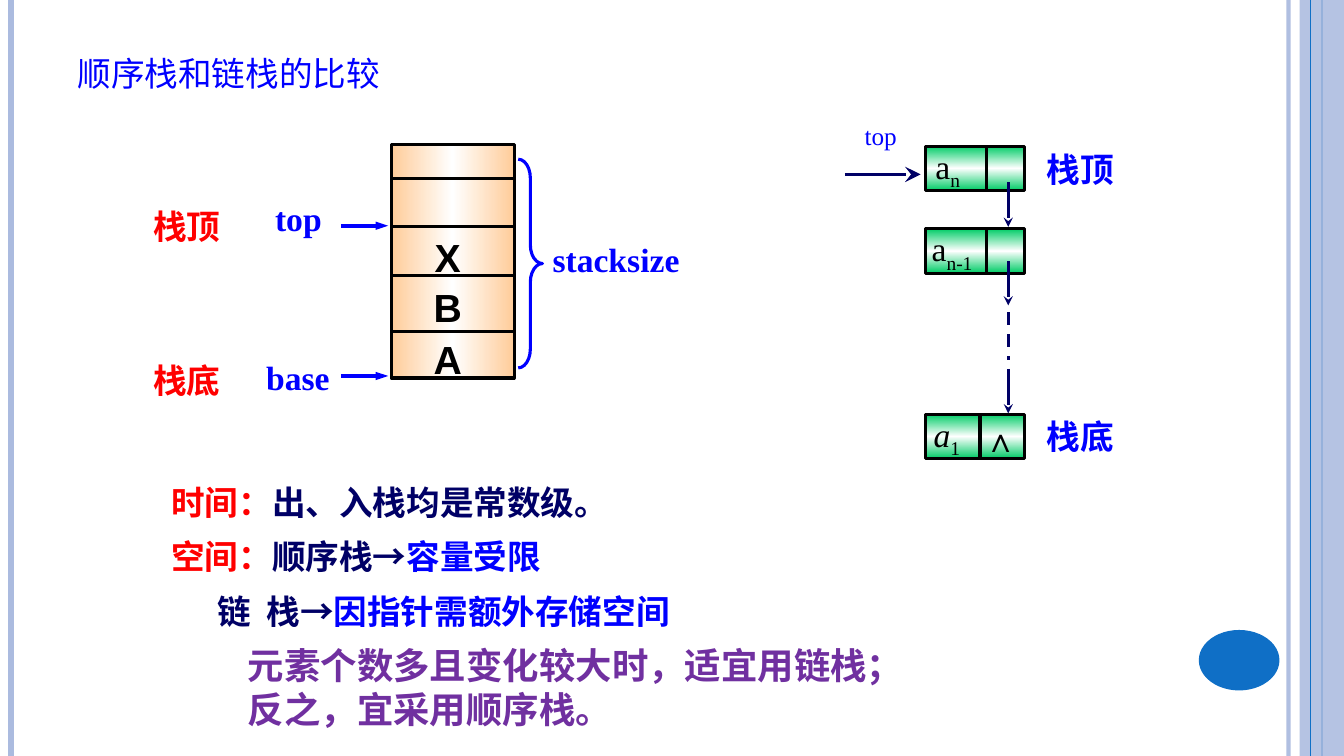
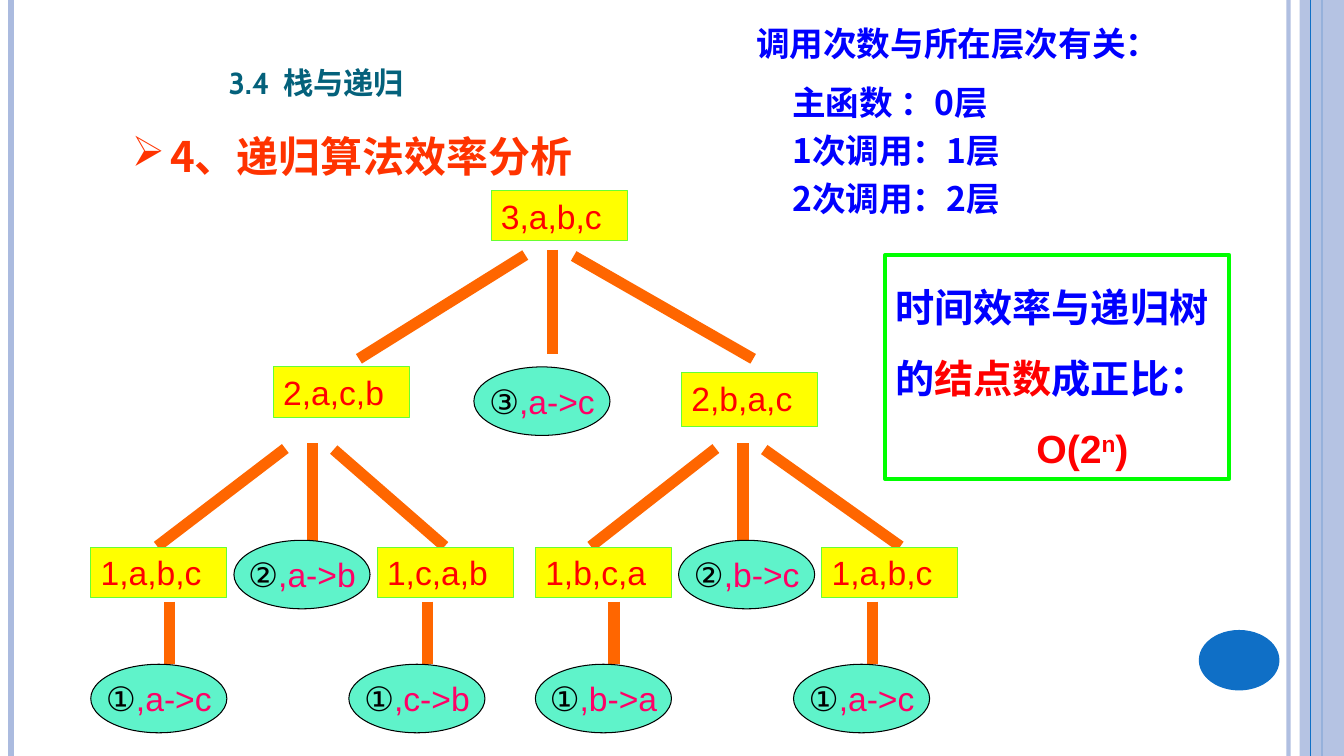
from copy import deepcopy
from lxml.etree import SubElement as Sub
from pptx import Presentation
from pptx.dml.color import RGBColor
from pptx.enum.dml import MSO_LINE as Dash
from pptx.enum.shapes import MSO_CONNECTOR as Link, MSO_SHAPE as Form
from pptx.enum.text import MSO_ANCHOR as Anchor, PP_ALIGN as Align
from pptx.oxml.ns import qn
from pptx.util import Inches, Pt

WIDE, HIGH = 13.33, 7.5
BLUE, RED, NAVY, BLACK = "0000FF", "FF0000", "000066", "000000"
PALE, DEEP, TEAL, VIOLET = "ABBBDF", "0F6FC6", "04617B", "7030A0"
GREEN, PEACH, WHITE = "00CC66", "FFCC99", "FFFFFF"
YELLOW, LIME, MINT, PINK = "FFFF00", "66FF33", "5FF3CA", "FF0066"
ORANGE, FLAME, BRIGHT = "FF6600", "FF3300", "00FF00"
SERIF, SANS, HAN, HEAD = "Times New Roman", "Arial", "Noto Sans CJK SC", "Cabin"
PAD = (0.1, 0.05, 0.1, 0.05)
NONE = (0, 0, 0, 0)


def tint(value):
    return RGBColor.from_string(value)


def fade(item, share):
    for mark in item.element.iter(qn("a:srgbClr")):
        Sub(mark, qn("a:alpha")).set("val", str(share * 1000))


def line(slide, start, end, color, width, head=None, dash=False):
    item = slide.shapes.add_connector(Link.STRAIGHT, *map(Inches, start + end))
    item.line.color.rgb = tint(color)
    item.line.width = Pt(width)
    if dash:
        item.line.dash_style = Dash.DASH
    if head:
        tail = Sub(item.line._get_or_add_ln(), qn("a:tailEnd"))
        for key, value in zip(("type", "w", "len"), head):
            tail.set(key, value)
    Sub(item.element.spPr, qn("a:effectLst"))
    return item


def shape(slide, form, box, fill=None, edge=None, width=0.75):
    item = slide.shapes.add_shape(form, *map(Inches, box))
    item.shadow.inherit = False
    if fill:
        item.fill.solid()
        item.fill.fore_color.rgb = tint(fill)
    else:
        item.fill.background()
    if edge:
        item.line.color.rgb = tint(edge)
        item.line.width = Pt(width)
    else:
        item.line.fill.background()
    return item


def sheen(item, color, angle):
    item.fill.gradient()
    item.fill.gradient_angle = angle
    stops = next(item.element.iter(qn("a:gsLst")))
    stops.insert(1, deepcopy(stops[0]))
    for stop, shade, spot in zip(item.fill.gradient_stops, (color, WHITE, color), (0, 0.5, 1)):
        stop.color.rgb = tint(shade)
        stop.position = spot


def say(item, lines, size, face, bold=False, pad=PAD, align=Align.LEFT,
        anchor=Anchor.TOP, wrap=True, space=None, small=False):
    frame = item.text_frame
    frame.word_wrap = wrap
    frame.vertical_anchor = anchor
    frame.margin_left, frame.margin_top, frame.margin_right, frame.margin_bottom = map(Inches, pad)
    for order, runs in enumerate(lines):
        para = frame.add_paragraph() if order else frame.paragraphs[0]
        para.alignment = align
        if space:
            para.line_spacing = space
        for words, color, *extra in runs:
            run = para.add_run()
            run.text = words
            font = run.font
            font.size, font.name, font.bold = Pt(size), face, bold
            font.color.rgb = tint(color)
            props = run._r.get_or_add_rPr()
            Sub(props, qn("a:ea")).set("typeface", HAN)
            if small:
                props.set("cap", "small")
            for key, value in extra:
                props.set(key, value)
    return frame


def text(slide, box, lines, size, face, **style):
    return say(slide.shapes.add_textbox(*map(Inches, box)), lines, size, face, **style)


def indent(para, left, first=0):
    props = para._p.get_or_add_pPr()
    props.set("marL", str(Inches(left)))
    props.set("indent", str(Inches(first)))
    return props


def frame(deck):
    slide = deck.slides.add_slide(deck.slide_layouts[6])

    def rule(x, color, width):
        return line(slide, (x, 0), (x, HIGH), color, width)

    fade(rule(12.78, PALE, 3), 93)
    rule(0.11, PALE, 4.5)
    rule(13.11, DEEP, 1.5)
    fade(shape(slide, Form.RECTANGLE, (12.89, 0, 0.44, HIGH), PALE), 87)
    rule(13, DEEP, 0.75)
    shape(slide, Form.OVAL, (11.89, 6.25, 0.8, 0.6), DEEP)
    return slide


def title(slide, box, words, size, color, bold=False):
    text(slide, box, [[(words, color)]], size, HEAD, bold=bold, anchor=Anchor.BOTTOM, small=True)


def label(slide, x, y, words, color):
    text(slide, (x, y, 1.03, 0.37), [[(words, color)]], 24, SERIF, bold=True,
         pad=NONE, align=Align.JUSTIFY)


def stack(slide, x, y):
    def tag(left, top, width, words, size=24, face=SERIF, color=BLUE):
        text(slide, (x + left, y + top, width, 0.5), [[(words, color)]], size, face,
             bold=True, align=Align.CENTER, wrap=False)

    wide = 1.22
    body = shape(slide, Form.RECTANGLE, (x, y, wide, 2.32), WHITE, BLACK, 2.25)
    sheen(body, PEACH, 0)
    for row in (0.34, 0.82, 1.3, 1.86):
        line(slide, (x, y + row), (x + wide, y + row), BLACK, 2.25)
    for row, words in ((0.84, "X"), (1.33, "B"), (1.85, "A")):
        tag(0.32, row, 0.48, words, 28, SANS, BLACK)
    for row, left, width, words, mark in ((0.81, -1.25, 0.66, "top", "栈顶"),
                                          (2.3, -1.34, 0.83, "base", "栈底")):
        line(slide, (x - 0.5, y + row), (x - 0.03, y + row), BLUE, 3, ("triangle", "sm", "med"))
        tag(left, row - 0.33 + (row > 1) * 0.09, width, words)
        label(slide, x - 2.36, y + row - 0.2 + (row > 1) * 0.04, mark, RED)
    brace = shape(slide, Form.RIGHT_BRACE, (x + 1.26, y + 0.15, 0.24, 2.07), None, BLUE, 2.25)
    brace.adjustments[0] = 0.773
    brace.adjustments[1] = 0.5
    tag(1.5, 0.89, 1.46, "stacksize")


def chain(slide, x, y):
    low = ("baseline", "-25000")
    slant = ("i", "1")
    nodes = (
        (0, 0.6, 0.1, [("a", BLACK), ("n", BLACK, low)]),
        (0.82, 0.6, 0.06, [("a", BLACK), ("n-1", BLACK, low)]),
        (2.66, 0.54, 0.08, [("a", BLACK, slant), ("1", BLACK, low)]),
    )
    for row, split, left, runs in nodes:
        node = shape(slide, Form.RECTANGLE, (x, y + row, 0.98, 0.44), WHITE, BLACK, 2.25)
        sheen(node, GREEN, 90)
        say(node, [runs], 24, SERIF, pad=(left, 0, 0, 0.08), space=0.9)
        line(slide, (x + split, y + row), (x + split, y + row + 0.44), BLACK, 2.25)
    text(slide, (x + 0.48, y + 2.66, 0.49, 0.5), [[("∧", BLACK)]], 24, SERIF,
         bold=True, align=Align.CENTER)
    hub = x + 0.82
    for row in (0.36, 1.14, 2.21):
        line(slide, (hub, y + row), (hub, y + row + 0.44), NAVY, 2.25, ("stealth", "med", "med"))
    line(slide, (hub, y + 1.65), (hub, y + 2.12), NAVY, 2.25, dash=True)
    line(slide, (x - 0.8, y + 0.28), (x - 0.05, y + 0.28), NAVY, 2.25, ("stealth", "lg", "lg"))
    text(slide, (x - 0.86, y - 0.26, 0.83, 0.47), [[("top", BLUE)]], 18, SERIF,
         pad=(0, 0, 0, 0.04), align=Align.CENTER)
    label(slide, x + 1.2, y + 0.03, "栈顶", BLUE)
    label(slide, x + 1.2, y + 2.68, "栈底", BLUE)


def notes(slide, x, y):
    lines = [
        [("时间：", RED), ("出、入栈均是常数级。", NAVY)],
        [("空间：", RED), ("顺序栈→", NAVY), ("容量受限", BLUE)],
        [("链  栈→", NAVY), ("因指针需额外存储空间", BLUE)],
    ]
    facts = text(slide, (x, y, 8.11, 1.74), lines, 24, HAN, bold=True, space=1.35)
    indent(facts.paragraphs[2], 0.46)
    lines = [[("元素个数多且变化较大时，适宜用链栈；", VIOLET)],
             [("反之，宜采用顺序栈。", VIOLET)]]
    text(slide, (x + 0.76, y + 1.74, 7.64, 0.98), lines, 26, HAN, bold=True)


def call(slide, x, y, words, high=0.5):
    node = shape(slide, Form.RECTANGLE, (x, y, 1.35, high), YELLOW, LIME)
    say(node, [[(words, RED)]], 24, SANS)


def move(slide, x, y, disk, words):
    node = shape(slide, Form.OVAL, (x, y, 1.35, 0.68), MINT, BLACK)
    say(node, [[(disk, BLACK), ("," + words, PINK)]], 24, SANS,
        align=Align.CENTER, anchor=Anchor.MIDDLE, wrap=False)


def fan(slide, x, y, left, right, drop):
    line(slide, (x - 0.27, y + 0.05), (x - left, y + drop), ORANGE, 8)
    line(slide, (x, y), (x, y + 1.03), ORANGE, 8)
    line(slide, (x + 0.21, y + 0.06), (x + right, y + drop), ORANGE, 8)


def branch(slide, x, y, hub, spread, calls, moves):
    fan(slide, x + hub, y, *spread, 1.02)
    for left, words in zip((0, 2.84), calls):
        call(slide, x + left, y + 1.03, words)
    move(slide, x + 1.42, y + 0.96, "②", moves[0])
    for left, words in zip((0, 2.56), moves[1:]):
        line(slide, (x + left + 0.78, y + 1.57), (x + left + 0.78, y + 2.19), ORANGE, 8)
        move(slide, x + left, y + 2.19, "①", words)


def tree(slide, x, y):
    call(slide, x + 3.97, y, "3,a,b,c")
    fan(slide, x + 4.58, y + 0.59, 1.92, 1.99, 1.67 - 0.59)
    call(slide, x + 1.81, y + 1.75, "2,a,c,b")
    call(slide, x + 5.86, y + 1.81, "2,b,a,c", 0.53)
    move(slide, x + 3.8, y + 1.75, "③", "a->c")
    branch(slide, x, y + 2.51, 2.2, (1.54, 1.31), ("1,a,b,c", "1,c,a,b"),
           ("a->b", "a->c", "c->b"))
    branch(slide, x + 4.41, y + 2.51, 2.06, (1.51, 1.56), ("1,b,c,a", "1,a,b,c"),
           ("b->c", "b->a", "a->c"))


def topic(slide, x, y):
    body = text(slide, (x, y, 4.83, 0.73), [[("4、递归算法效率分析", FLAME)]], 30, HAN,
                bold=True, space=1.2)
    props = indent(body.paragraphs[0], 0.38, -0.38)
    Sub(Sub(props, qn("a:buClr")), qn("a:srgbClr")).set("val", FLAME)
    Sub(props, qn("a:buChar")).set("char", "➢")


def levels(slide, x, y):
    text(slide, (x, y, 4.58, 0.5), [[("调用次数与所在层次有关：", BLUE)]], 24, SANS, bold=True)
    lines = [[(words, BLUE)] for words in ("主函数 ：0层", "1次调用：1层", "2次调用：2层")]
    text(slide, (x + 0.36, y + 0.5, 2.83, 1.55), lines, 24, HAN, bold=True, space=1.2)


def result(slide, x, y):
    panel = shape(slide, Form.RECTANGLE, (x, y, 3.41, 2.22), WHITE, BRIGHT, 3)
    lines = [
        [("时间效率与递归树的", BLUE), ("结点数", RED), ("成正比：", BLUE)],
        [("O(2", RED), ("n", RED, ("baseline", "30000")), (")", RED)],
    ]
    body = say(panel, lines, 28, SANS, bold=True, space=1.5)
    indent(body.paragraphs[1], 1.4)


def compare(deck):
    slide = frame(deck)
    title(slide, (0.67, 0.3, 10.89, 0.69), "顺序栈和链栈的比较", 30, BLUE)
    chain(slide, 9.18, 1.45)
    stack(slide, 3.88, 1.43)
    notes(slide, 1.6, 4.59)


def cost(deck):
    slide = frame(deck)
    title(slide, (2.17, 0.45, 3.31, 0.61), "3.4  栈与递归", 27, TEAL, True)
    topic(slide, 1.21, 1.15)
    tree(slide, 0.9, 1.89)
    levels(slide, 7.4, 0.18)
    result(slide, 8.78, 2.53)


def main():
    deck = Presentation()
    deck.slide_width, deck.slide_height = Inches(WIDE), Inches(HIGH)
    compare(deck)
    cost(deck)
    deck.save("out.pptx")


if __name__ == "__main__":
    main()
